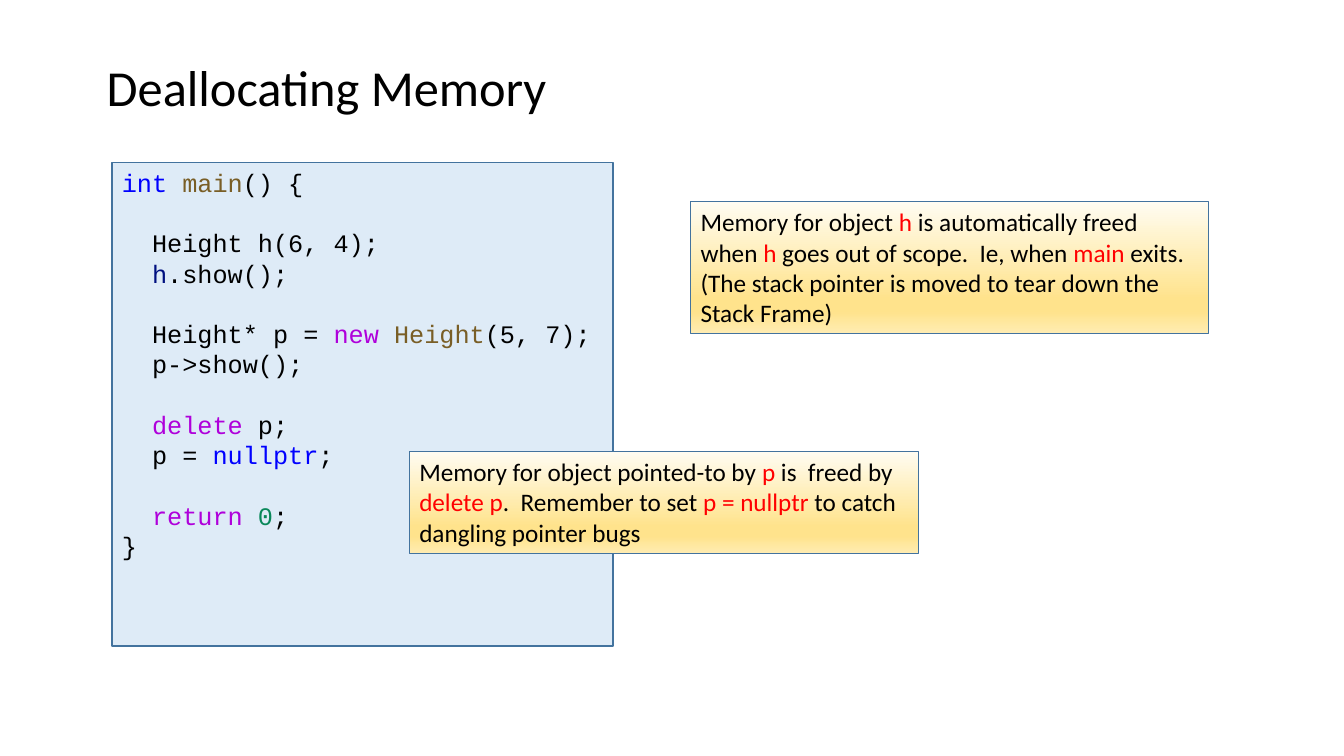
from dataclasses import dataclass
from typing import NamedTuple

from lxml.etree import SubElement
from pptx import Presentation
from pptx.dml.color import RGBColor
from pptx.enum.shapes import MSO_SHAPE
from pptx.enum.text import MSO_ANCHOR, PP_ALIGN
from pptx.oxml.ns import qn
from pptx.shapes.autoshape import Shape
from pptx.slide import Slide
from pptx.text.text import _Paragraph
from pptx.util import Inches, Pt

COLORS = {
    "text": "000000",
    "border": "43739E",
    "code_panel": "DEEBF7",
    "type": "0000FF",
    "function": "795E26",
    "variable": "001080",
    "keyword": "AF00DB",
    "number": "09885A",
    "highlight": "FF0000",
}
NOTE_GRADIENT = [(0, "FFFCF2"), (74, "FFE38C"), (83, "FFE38C"), (100, "FFECB2")]
CODE_LINE = Pt(21.6)
CODE_INDENT = Inches(0.3)


class Span(NamedTuple):
    text: str
    color: str = "text"


class Box(NamedTuple):
    left: float
    top: float
    width: float
    height: float


@dataclass
class CodeLine:
    spans: list[Span]
    indented: bool = True
    gap_before: bool = False


@dataclass
class Note:
    box: Box
    spans: list[Span]


TITLE_BOX = Box(0.96, 0.51, 8.68, 0.71)
CODE_BOX = Box(1.11, 1.61, 4.97, 4.8)

CODE = [
    CodeLine([Span("int ", "type"), Span("main", "function"), Span("() {")], indented=False),
    CodeLine([Span("Height h(6, 4);")], gap_before=True),
    CodeLine([Span("h", "variable"), Span(".show();")]),
    CodeLine(
        [Span("Height* p = "), Span("new ", "keyword"), Span("Height", "function"), Span("(5, 7);")],
        gap_before=True,
    ),
    CodeLine([Span("p->show();")]),
    CodeLine([Span("delete", "keyword"), Span(" p;")], gap_before=True),
    CodeLine([Span("p = "), Span("nullptr", "type"), Span(";")]),
    CodeLine([Span("return ", "keyword"), Span("0", "number"), Span(";")], gap_before=True),
    CodeLine([Span("}")], indented=False),
]

NOTES = [
    Note(
        Box(6.85, 2, 5.14, 1.31),
        [
            Span("Memory for object "),
            Span("h", "highlight"),
            Span(" is automatically freed when "),
            Span("h", "highlight"),
            Span(" goes out of scope.  Ie, when "),
            Span("main", "highlight"),
            Span(" exits.  (The stack pointer is moved to tear down the Stack Frame)"),
        ],
    ),
    Note(
        Box(4.06, 4.48, 5.05, 1.01),
        [
            Span("Memory for object pointed-to by "),
            Span("p", "highlight"),
            Span(" is  freed by "),
            Span("delete p", "highlight"),
            Span(".  Remember to set "),
            Span("p = nullptr", "highlight"),
            Span(" to catch dangling pointer bugs"),
        ],
    ),
]


def write_spans(paragraph: _Paragraph, spans: list[Span], font: str, size: float) -> None:
    paragraph.alignment = PP_ALIGN.LEFT
    for span in spans:
        run = paragraph.add_run()
        run.text = span.text
        run.font.name = font
        run.font.size = Pt(size)
        run.font.color.rgb = RGBColor.from_string(COLORS[span.color])


def add_panel(slide: Slide, box: Box, border: float) -> Shape:
    panel = slide.shapes.add_shape(MSO_SHAPE.RECTANGLE, *map(Inches, box))
    panel.shadow.inherit = False
    panel.line.color.rgb = RGBColor.from_string(COLORS["border"])
    panel.line.width = Pt(border)
    panel.text_frame.word_wrap = True
    panel.text_frame.vertical_anchor = MSO_ANCHOR.TOP
    return panel


def add_title(slide: Slide) -> None:
    title = slide.shapes.add_textbox(*map(Inches, TITLE_BOX))
    title.text_frame.word_wrap = True
    write_spans(title.text_frame.paragraphs[0], [Span("Deallocating Memory")], "Calibri", 36)


def add_code(slide: Slide) -> None:
    panel = add_panel(slide, CODE_BOX, 1)
    panel.fill.solid()
    panel.fill.fore_color.rgb = RGBColor.from_string(COLORS["code_panel"])
    frame = panel.text_frame
    for index, line in enumerate(CODE):
        paragraph = frame.add_paragraph() if index else frame.paragraphs[0]
        paragraph.line_spacing = CODE_LINE
        paragraph.space_before = CODE_LINE if line.gap_before else Pt(0)
        if line.indented:
            paragraph._p.get_or_add_pPr().set("marL", str(CODE_INDENT))
        write_spans(paragraph, line.spans, "Courier New", 18)


def add_note(slide: Slide, note: Note) -> None:
    panel = add_panel(slide, note.box, 0.75)
    panel.fill.gradient()
    panel.fill.gradient_angle = 270
    stops = panel._element.spPr.find(qn("a:gradFill")).find(qn("a:gsLst"))
    stops.clear()
    for percent, color in NOTE_GRADIENT:
        stop = SubElement(stops, qn("a:gs"), pos=str(percent * 1000))
        SubElement(stop, qn("a:srgbClr"), val=color)
    write_spans(panel.text_frame.paragraphs[0], note.spans, "Calibri", 18)


def main() -> None:
    presentation = Presentation()
    presentation.slide_width = Inches(13.33)
    presentation.slide_height = Inches(7.5)
    slide = presentation.slides.add_slide(presentation.slide_layouts[6])
    add_code(slide)
    add_title(slide)
    for note in NOTES:
        add_note(slide, note)
    presentation.save("out.pptx")


if __name__ == "__main__":
    main()
